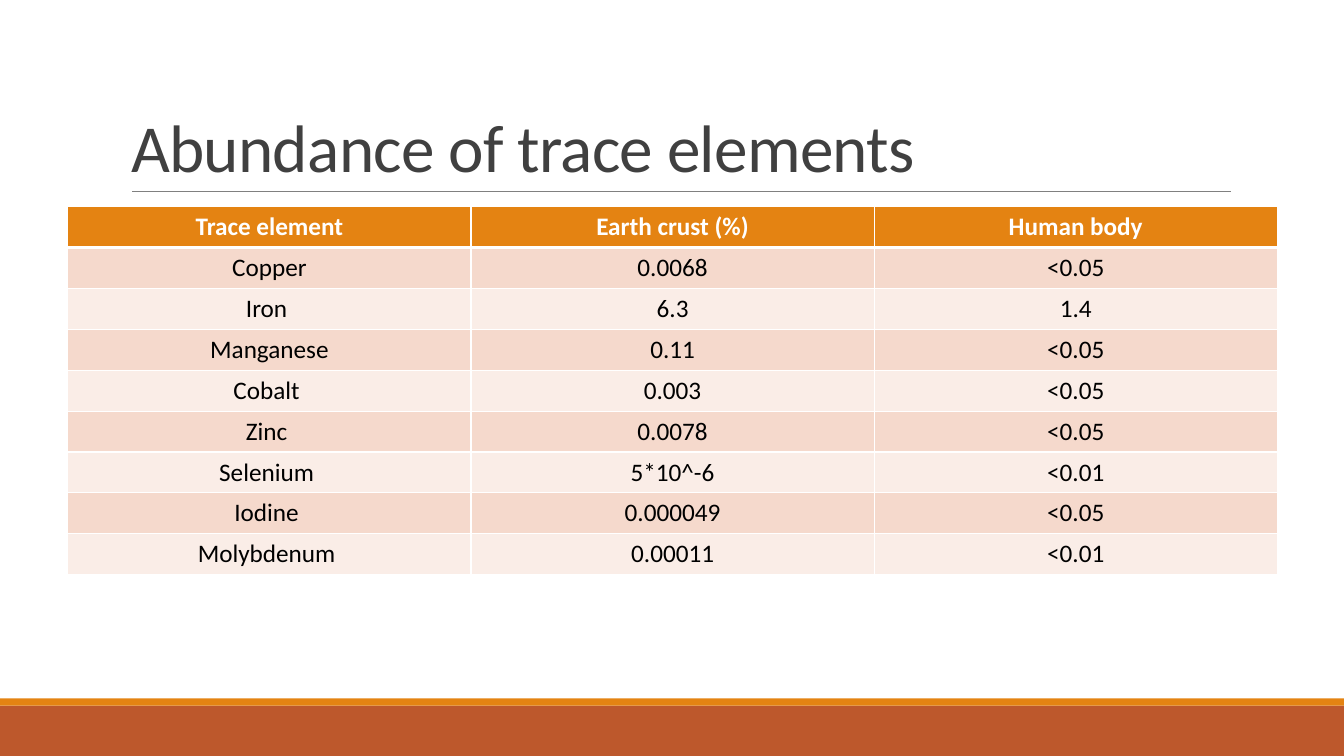
from lxml import etree
from pptx import Presentation
from pptx.dml.color import RGBColor
from pptx.enum.shapes import MSO_CONNECTOR, MSO_SHAPE
from pptx.enum.text import MSO_ANCHOR, MSO_AUTO_SIZE, PP_ALIGN
from pptx.oxml import parse_xml
from pptx.oxml.ns import nsdecls, qn
from pptx.util import Cm, Pt

FONT = "Calibri"
ORANGE, RUST, WHITE = "E48312", "BD582C", "FFFFFF"
BANDS = ["F5D9CC", "FAEDE7"]
SLIDE_W, SLIDE_H = 33.87, 19.05

ABUNDANCES = [
    ("Trace element", "Earth crust (%)", "Human body"),
    ("Copper", "0.0068", "<0.05"),
    ("Iron ", "6.3", "1.4"),
    ("Manganese", "0.11", "<0.05"),
    ("Cobalt ", "0.003", "<0.05"),
    ("Zinc ", "0.0078", "<0.05"),
    ("Selenium ", "5*10^-6", "<0.01"),
    ("Iodine ", "0.000049", "<0.05"),
    ("Molybdenum ", "0.00011", "<0.01"),
]


def color(hex_code):
    return RGBColor.from_string(hex_code)


def add_styled_run(paragraph, text, size, hex_code, bold=False):
    run = paragraph.add_run()
    run.text = text
    run.font.name = FONT
    run.font.size = Pt(size)
    run.font.bold = bold
    run.font.color.rgb = color(hex_code)
    return run


def add_footer_bands(slide, left, top, width, height):
    """Draw a thin orange stripe above a rust band."""
    stripe = 0.18
    for y, band_height, fill in [(top + stripe, height - stripe, RUST), (top, stripe, ORANGE)]:
        band = slide.shapes.add_shape(
            MSO_SHAPE.RECTANGLE, Cm(left), Cm(y), Cm(width), Cm(band_height))
        band.shadow.inherit = False
        band.fill.solid()
        band.fill.fore_color.rgb = color(fill)
        band.line.fill.background()


def add_title(slide, text, left, top, width, height):
    """Set the title at the bottom of its box, with a rule under it."""
    title = slide.shapes.title
    title.left, title.top, title.width, title.height = map(Cm, (left, top, width, height))
    frame = title.text_frame
    frame.word_wrap = True
    frame.auto_size = MSO_AUTO_SIZE.NONE
    frame.vertical_anchor = MSO_ANCHOR.BOTTOM
    paragraph = frame.paragraphs[0]
    paragraph.alignment = PP_ALIGN.LEFT
    paragraph.line_spacing = 0.85
    run = add_styled_run(paragraph, text, 48, "404040")
    run.font._element.set("spc", "-50")

    rule_left, rule_y = left + 0.28, top + height
    rule = slide.shapes.add_connector(
        MSO_CONNECTOR.STRAIGHT, Cm(rule_left), Cm(rule_y), Cm(rule_left + 27.68), Cm(rule_y))
    rule.line.color.rgb = color("808080")
    rule.line.width = Pt(0.5)
    etree.SubElement(rule._element.spPr, qn("a:effectLst"))


def set_borders(cell, bottom_width):
    """Give the cell white borders; they must precede its fill in the XML."""
    widths = {"lnL": 1, "lnR": 1, "lnT": 1, "lnB": bottom_width}
    for index, (side, width) in enumerate(widths.items()):
        cell._tc.get_or_add_tcPr().insert(index, parse_xml(
            f'<a:{side} {nsdecls("a")} w="{Pt(width)}"><a:solidFill>'
            f'<a:srgbClr val="{WHITE}"/></a:solidFill></a:{side}>'))


def add_abundance_table(slide, rows, left, top, width, height):
    table = slide.shapes.add_table(
        len(rows), len(rows[0]), Cm(left), Cm(top), Cm(width), Cm(height)).table
    for row_index, row in enumerate(rows):
        header = row_index == 0
        for column_index, text in enumerate(row):
            cell = table.cell(row_index, column_index)
            cell.fill.solid()
            cell.fill.fore_color.rgb = color(ORANGE if header else BANDS[(row_index - 1) % 2])
            set_borders(cell, 3 if header else 1)
            paragraph = cell.text_frame.paragraphs[0]
            paragraph.alignment = PP_ALIGN.CENTER
            add_styled_run(paragraph, text, 18, WHITE if header else "000000", header)


def main():
    deck = Presentation()
    deck.slide_width, deck.slide_height = Cm(SLIDE_W), Cm(SLIDE_H)
    slide = deck.slides.add_slide(deck.slide_layouts[5])
    add_footer_bands(slide, 0, 17.6, SLIDE_W, SLIDE_H - 17.6)
    add_title(slide, "Abundance of trace elements", 3.05, 0.79, 27.94, 4.04)
    add_abundance_table(slide, ABUNDANCES, 1.71, 5.21, 30.48, 9.27)
    deck.save("out.pptx")


if __name__ == "__main__":
    main()
